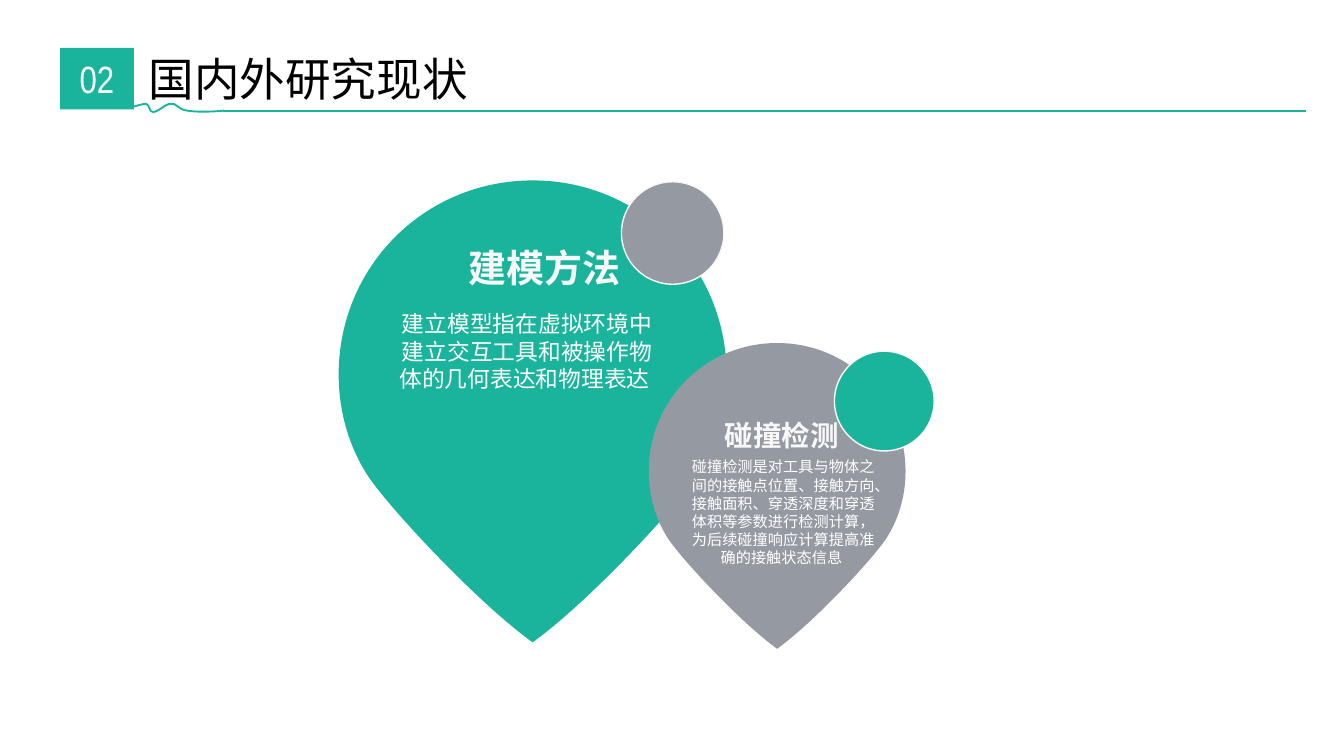
from lxml.etree import SubElement
from pptx import Presentation
from pptx.dml.color import RGBColor
from pptx.enum.shapes import MSO_CONNECTOR as CONN, MSO_SHAPE as SHAPE
from pptx.enum.text import MSO_ANCHOR as ANCHOR, MSO_AUTO_SIZE as AUTO, PP_ALIGN as ALIGN
from pptx.oxml.ns import qn
from pptx.util import Inches, Pt

GREEN, GREY, PALE, WHITE, BLACK = "19B49B", "959AA2", "F8F8F8", "FFFFFF", "000000"
rgb = RGBColor.from_string


def paint(s, fill=None, line=None, width=1):
    s.shadow.inherit = False
    if fill:
        s.fill.solid()
        s.fill.fore_color.rgb = rgb(fill)
    else:
        s.fill.background()
    if line:
        s.line.color.rgb = rgb(line)
        s.line.width = Pt(width)
    else:
        s.line.fill.background()


def add_curve(shapes, pts, left=0, top=0, scale=1, close=False):
    pts = [(Inches(left + scale * x), Inches(top + scale * y)) for x, y in pts]
    builder = shapes.build_freeform(*pts[0])
    builder.add_line_segments(pts[1:], close=close)
    s = builder.convert_to_shape()
    segments = list(s._element.iter(qn("a:lnTo")))
    for i in range(0, len(segments), 3):
        curve = segments[i]
        for extra in segments[i + 1:i + 3]:
            curve.append(extra[0])
            extra.getparent().remove(extra)
        curve.tag = qn("a:cubicBezTo")
    return s


prs = Presentation()
prs.slide_width, prs.slide_height = Inches(9.84), Inches(5.51)
slide = prs.slides.add_slide(prs.slide_layouts[5])
shapes = slide.shapes

pin_width = 2.84
half = [(1.42, 0), (2.21, 0), (2.84, 0.63), (2.84, 1.42), (2.84, 1.68), (2.77, 1.93),
        (2.64, 2.14), (2.52, 2.34), (1.85, 3.07), (1.42, 3.38)]
pin = half + [(pin_width - x, y) for x, y in half[-2::-1]]
for left, top, width, color in [(2.48, 1.32, 2.84, GREEN), (4.75, 2.51, 1.88, GREY)]:
    paint(add_curve(shapes, pin, left, top, width / pin_width, close=True), color)

for left, top, size, color in [(4.55, 1.33, 0.75, GREY), (6.11, 2.57, 0.73, GREEN)]:
    s = shapes.add_shape(SHAPE.OVAL, Inches(left), Inches(top), Inches(size), Inches(size))
    paint(s, color, PALE, 0.75)

number = shapes.add_shape(SHAPE.RECTANGLE, 0, 0, 0, 0)
paint(number, GREEN)

heading = {"name": "Arial Narrow", "bold": True}
body = {"name": "Calibri"}
texts = [
    (shapes.title, (0.99, 0.32, 2.56, 0.5), "国内外研究现状", 24, BLACK,
     {"name": "Noto Sans CJK SC"}, ALIGN.LEFT, True),
    (number, (0.44, 0.35, 0.54, 0.45), "02", 20, WHITE, {"name": "Arial Narrow"}, ALIGN.CENTER, True),
    (None, (3.33, 1.74, 1.32, 0.44), "建模方法", 20, PALE, heading, ALIGN.LEFT, False),
    (None, (2.81, 2.22, 2.1, 0.71), "建立模型指在虚拟环境中建立交互工具和被操作物体的几何表达和物理表达 ",
     12, WHITE, body, ALIGN.CENTER, True),
    (None, (5.21, 3.01, 1.04, 0.35), "碰撞检测", 15, PALE, heading, ALIGN.LEFT, False),
    (None, (4.94, 3.3, 1.59, 0.91),
     "碰撞检测是对工具与物体之间的接触点位置、接触方向、接触面积、穿透深度和穿透体积等参数进行检测计算，"
     "为后续碰撞响应计算提高准确的接触状态信息 ", 8, WHITE, body, ALIGN.CENTER, True),
]
for s, box, text, size, color, fmt, align, wrap in texts:
    s = s or shapes.add_textbox(0, 0, 0, 0)
    s.left, s.top, s.width, s.height = map(Inches, box)
    tf = s.text_frame
    tf.word_wrap = wrap
    tf.auto_size = AUTO.NONE if s is number else AUTO.SHAPE_TO_FIT_TEXT
    tf.vertical_anchor = ANCHOR.MIDDLE if s is number else ANCHOR.TOP
    p = tf.paragraphs[0]
    p.alignment = align
    r = p.add_run()
    r.text = text
    r.font.size = Pt(size)
    r.font.color.rgb = rgb(color)
    for key, value in fmt.items():
        setattr(r.font, key, value)

rule = shapes.add_connector(CONN.STRAIGHT, Inches(1.63), Inches(0.81), Inches(9.56), Inches(0.81))
rule.line.color.rgb = rgb(GREEN)
rule.line.width = Pt(1)
SubElement(rule._element.spPr, qn("a:effectLst"))

wave = [(0.94, 0.79), (0.99, 0.78), (1.04, 0.76), (1.07, 0.76), (1.1, 0.77), (1.09, 0.82),
        (1.12, 0.82), (1.16, 0.82), (1.21, 0.76), (1.25, 0.76), (1.29, 0.75), (1.3, 0.8),
        (1.37, 0.81), (1.43, 0.82), (1.54, 0.82), (1.64, 0.81)]
paint(add_curve(shapes, wave), line=GREEN)

prs.save("out.pptx")
